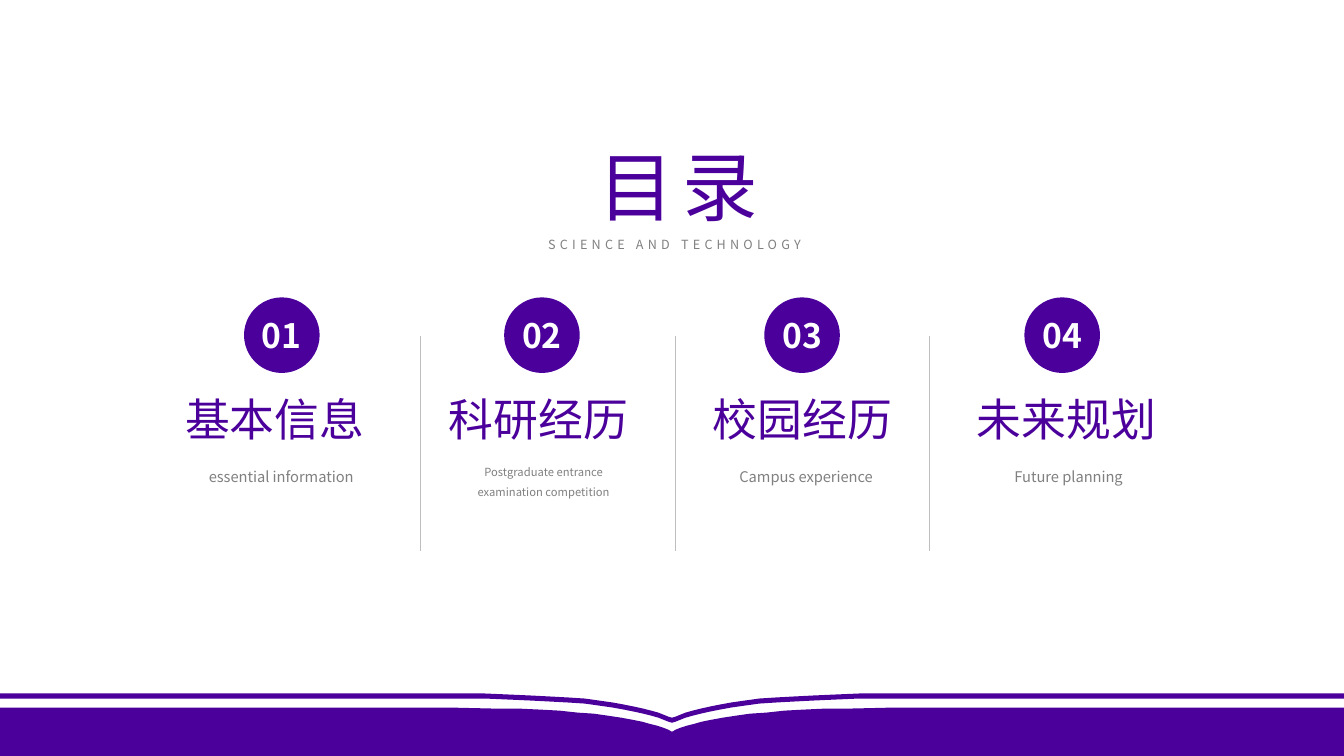
"""Build a contents slide with four numbered sections above an open-book footer."""
from lxml import etree
from pptx import Presentation
from pptx import util as u
from pptx.dml.color import RGBColor
from pptx.enum import shapes, text
from pptx.oxml.ns import qn

W, H = 13.33, 7.5
FONT = "Noto Sans CJK SC"
PURPLE, GREY, RULE, WHITE = "4B009B", "808080", "BFBFBF", "FFFFFF"
TITLE = "目录"
SUBTITLE = "SCIENCE AND TECHNOLOGY"
SECTIONS = [
    ("01", "基本信息", "essential information", 10.5),
    ("02", "科研经历", "Postgraduate entrance examination competition", 8),
    ("03", "校园经历", "Campus experience", 10.5),
    ("04", "未来规划", "Future planning", 10.5),
]
CIRCLE = {"left": 2.42, "pitch": 2.58, "top": 2.95, "size": 0.75}
NAME = {"left": 1.57, "pitch": 2.617, "top": 3.84, "width": 2.31, "height": 0.64}
NOTE = {"left": 1.97, "pitch": 2.603, "top": 4.55, "width": 1.64}
DIVIDER = {"left": 4.17, "pitch": 2.525, "top": 3.33, "bottom": 5.47}
EDGE_THICKNESS = 0.05
EDGE = [(0, 6.88), (4.81, 6.88), (5.04, 6.89), (5.26, 6.9), (5.46, 6.91), (5.64, 6.92),
        (5.8, 6.93), (5.94, 6.95), (6.08, 6.97), (6.19, 6.99), (6.29, 7.01), (6.38, 7.03),
        (6.46, 7.05), (6.53, 7.07), (6.58, 7.09), (6.63, 7.11), (W / 2, 7.12)]
PAGE = [(0, 7.02), (4.49, 7.02), (4.92, 7.03), (5.15, 7.03), (5.36, 7.04), (5.55, 7.05),
        (5.73, 7.07), (5.89, 7.08), (6.03, 7.1), (6.16, 7.12), (6.27, 7.14), (6.37, 7.16),
        (6.44, 7.18), (6.52, 7.2), (6.58, 7.22), (6.63, 7.24), (W / 2, 7.26)]


def rgb(value):
    return RGBColor.from_string(value)


def column(row, i):
    return row["left"] + i * row["pitch"]


def fill(sp, color):
    sp.shadow.inherit = False
    sp.fill.solid()
    sp.fill.fore_color.rgb = rgb(color)
    sp.line.fill.background()


def write(sp, words, size, color, bold=False, spacing=0, lines=None, **frame):
    tf = sp.text_frame
    for key, value in {"word_wrap": True, "vertical_anchor": text.MSO_ANCHOR.TOP,
                       "auto_size": text.MSO_AUTO_SIZE.SHAPE_TO_FIT_TEXT, **frame}.items():
        setattr(tf, key, value)
    p = tf.paragraphs[0]
    p.alignment = text.PP_ALIGN.CENTER
    if lines:
        p.line_spacing = lines
    r = p.add_run()
    r.text = words
    for key, value in {"name": FONT, "size": u.Pt(size), "bold": bold}.items():
        setattr(r.font, key, value)
    r.font.color.rgb = rgb(color)
    rpr = r.font._element
    etree.SubElement(rpr, qn("a:ea"), typeface=FONT)
    if spacing:
        rpr.set("spc", str(spacing * 100))


def box(s, left, top, width, height):
    return s.shapes.add_textbox(*map(u.Inches, (left, top, width, height)))


def spread(half):
    return half + [(W - x, y) for x, y in half[-2::-1]]


def outline(s, points):
    start, *rest = [(u.Inches(x), u.Inches(y)) for x, y in points]
    builder = s.shapes.build_freeform(*start, scale=1.0)
    builder.add_line_segments(rest, close=True)
    fill(builder.convert_to_shape(), PURPLE)


def divider(s, x):
    line = s.shapes.add_connector(shapes.MSO_CONNECTOR.STRAIGHT, *map(
        u.Inches, (x, DIVIDER["top"], x, DIVIDER["bottom"])))
    line.line.color.rgb = rgb(RULE)
    line.line.width = u.Pt(0.5)
    etree.SubElement(line._element.spPr, qn("a:effectLst"))


def section(s, i, number, name, note, note_size):
    size = CIRCLE["size"]
    circle = s.shapes.add_shape(shapes.MSO_SHAPE.OVAL, *map(
        u.Inches, (column(CIRCLE, i), CIRCLE["top"], size, size)))
    fill(circle, PURPLE)
    flush = dict.fromkeys(("margin_left", "margin_top", "margin_right", "margin_bottom"), 0)
    write(circle, number, 24, WHITE, bold=True, word_wrap=False, **flush,
          vertical_anchor=text.MSO_ANCHOR.MIDDLE, auto_size=text.MSO_AUTO_SIZE.NONE)
    write(box(s, column(NAME, i), NAME["top"], NAME["width"], NAME["height"]), name, 32, PURPLE)
    write(box(s, column(NOTE, i), NOTE["top"], NOTE["width"], 0.4 if note_size < 10 else 0.27),
          note, note_size, GREY, lines=1.5, **flush)


def main():
    prs = Presentation()
    prs.slide_width, prs.slide_height = u.Inches(W), u.Inches(H)
    s = prs.slides.add_slide(prs.slide_layouts[5])
    title = s.shapes.title
    for key, value in {"left": 5.77, "top": 1.34, "width": 1.92, "height": 1.01}.items():
        setattr(title, key, u.Inches(value))
    write(title, TITLE, 54, PURPLE, spacing=6)
    write(box(s, 5.24, 2.3, 2.9, 0.25), SUBTITLE, 9, GREY, spacing=3)
    edge = spread(EDGE)
    outline(s, edge + [(x, y + EDGE_THICKNESS) for x, y in reversed(edge)])
    outline(s, spread(PAGE) + [(W, H), (0, H)])
    for i, entry in enumerate(SECTIONS):
        section(s, i, *entry)
    for i in range(len(SECTIONS) - 1):
        divider(s, column(DIVIDER, i))
    prs.save("out.pptx")


if __name__ == "__main__":
    main()
